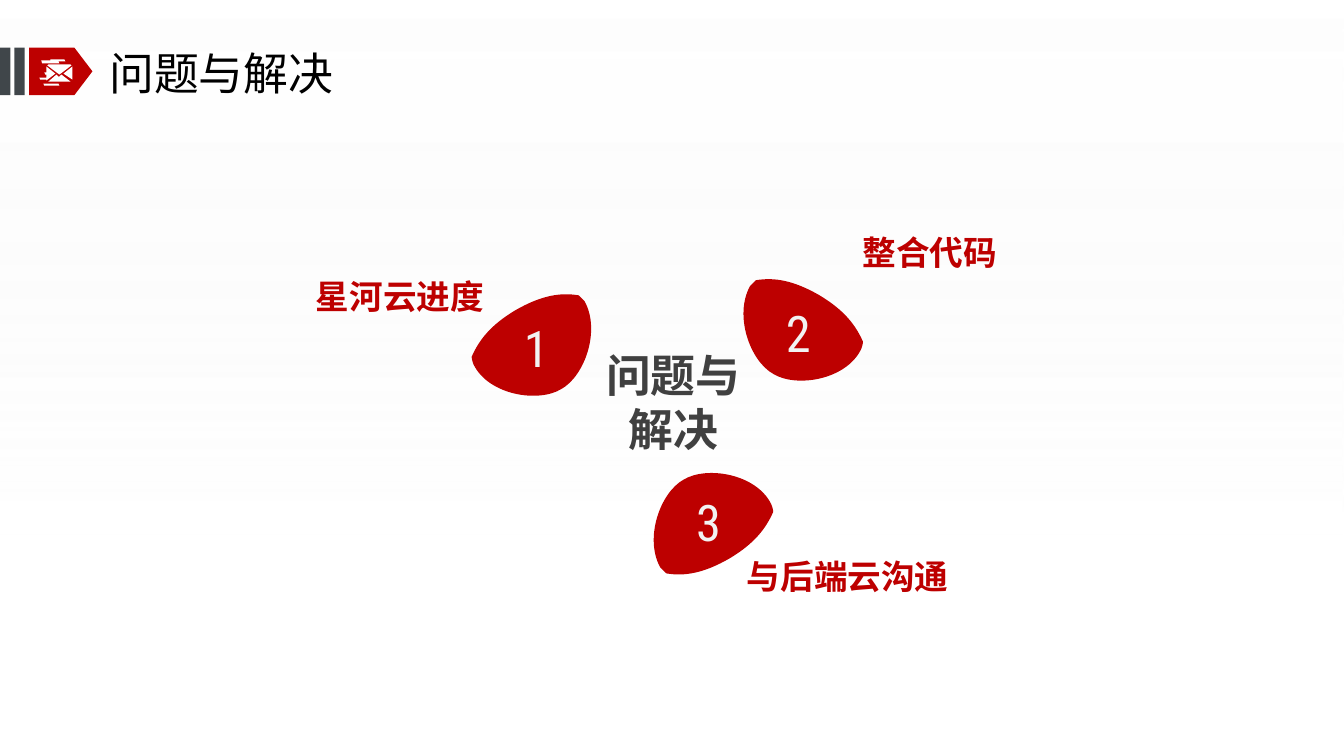
from dataclasses import dataclass

from lxml import etree
from pptx import Presentation
from pptx import util as u
from pptx.dml.color import RGBColor
from pptx.enum import shapes, text
from pptx.oxml.ns import qn


@dataclass(frozen=True)
class Theme:
    red: str = "BD0000"
    slate: str = "40464A"
    ink: str = "000000"
    gray: str = "404040"
    pale: str = "F2F2F2"
    white: str = "FFFFFF"
    cjk: str = "Noto Sans CJK SC"
    latin: str = "Roboto Condensed"
    heading: int = 32
    label: int = 24
    number: int = 36


T = Theme()
WIDTH, HEIGHT = 960, 540
BAND_TOP, BAND_HEIGHT = 34, 34

PETAL = [
    (92.2, 46.1),
    (87.1, 34.6), (79.2, 23.8), (61.2, 13),
    (42.5, 2.2), (28.8, 0), (15.8, 2.2),
    (15.1, 2.9), (13, 5), (11.5, 6.5),
    (0, 27.4), (11.5, 59.8), (28.1, 69.1),
    (44.6, 79.2), (79.9, 73.4), (90.7, 51.8),
    (91.4, 50.4), (92.2, 47.5), (92.2, 46.1),
]
PETAL_CENTER = (46, 39.5)

ENVELOPE = [
    [(33.8, 46.8), (34.6, 46.1), (50.4, 46.1), (51.1, 46.8), (42.5, 53.3)],
    [(31.7, 51.8), (32.4, 53.3), (33.1, 53.3), (33.1, 55.4), (28.1, 55.4),
     (28.8, 56.9), (33.1, 56.9), (33.1, 57.6), (39.6, 52.6), (33.1, 47.5),
     (33.1, 51.8)],
    [(31, 59.8), (41.8, 59.8), (42.5, 61.2), (31.7, 61.2)],
    [(36, 42.5), (46.1, 42.5), (46.8, 43.9), (41.8, 43.9), (42.5, 45.4),
     (30.2, 45.4), (29.5, 43.2), (36, 43.2)],
    [(51.8, 47.5), (45.4, 52.6), (51.8, 56.9)],
    [(50.4, 58.3), (34.6, 58.3), (40.3, 53.3), (41.8, 54.7), (42.5, 54.7),
     (43.9, 53.3)],
]


def paint(sp, color):
    sp.shadow.inherit = False
    sp.line.fill.background()
    sp.fill.solid()
    sp.fill.fore_color.rgb = RGBColor.from_string(color)


def add_block(s, kind, x, y, w, h, color):
    sp = s.shapes.add_shape(kind, u.Pt(x), u.Pt(y), u.Pt(w), u.Pt(h))
    paint(sp, color)
    return sp


def add_backdrop(s):
    sp = add_block(s, shapes.MSO_SHAPE.RECTANGLE, 0, 0, WIDTH, HEIGHT, T.white)
    sp.fill.gradient()
    sp.fill.gradient_angle = 270
    stops = zip(sp.fill.gradient_stops, ((0, T.white), (0.71, T.pale)))
    for stop, (position, color) in stops:
        stop.position = position
        stop.color.rgb = RGBColor.from_string(color)
    colors = sp.element.spPr.iter(qn("a:srgbClr"))
    for color, opacity in zip(colors, (55000, 0)):
        etree.SubElement(color, qn("a:alpha")).set("val", str(opacity))


def add_outline(parent, contours, color):
    contours = [[(u.Pt(x), u.Pt(y)) for x, y in c] for c in contours]
    first, *others = contours
    builder = parent.shapes.build_freeform(*first[0])
    builder.add_line_segments(first[1:], close=True)
    for contour in others:
        builder.move_to(*contour[0])
        builder.add_line_segments(contour[1:], close=True)
    sp = builder.convert_to_shape()
    paint(sp, color)
    return sp


def curve(sp):
    segments = list(sp.element.spPr.iter(qn("a:lnTo")))
    for i in range(0, len(segments), 3):
        bezier = etree.Element(qn("a:cubicBezTo"))
        segments[i].addprevious(bezier)
        for segment in segments[i:i + 3]:
            bezier.append(segment[0])
            segment.getparent().remove(segment)


def add_text(parent, words, x, y, w, h, size, color, font=T.cjk, bold=False,
             align=text.PP_ALIGN.LEFT, wrap=True, leading=None):
    sp = parent.shapes.add_textbox(u.Pt(x), u.Pt(y), u.Pt(w), u.Pt(h))
    tf = sp.text_frame
    tf.margin_left = tf.margin_right = tf.margin_top = tf.margin_bottom = 0
    tf.word_wrap = wrap
    tf.vertical_anchor = text.MSO_ANCHOR.MIDDLE
    p = tf.paragraphs[0]
    p.alignment = align
    if leading:
        p.line_spacing = u.Pt(leading)
    r = p.add_run()
    r.text = words
    r.font.size = u.Pt(size)
    r.font.bold = bold
    r.font.name = font
    r.font.color.rgb = RGBColor.from_string(color)
    etree.SubElement(r.font._element, qn("a:ea")).set("typeface", font)


def add_petal(s, number, x, y, flip_x, flip_y):
    def place(point):
        return x + flip_x * point[0], y + flip_y * point[1]

    group = s.shapes.add_group_shape()
    curve(add_outline(group, [[place(point) for point in PETAL]], T.red))
    cx, cy = place(PETAL_CENTER)
    w, h = 18, 44
    add_text(group, number, cx - w / 2, cy - h / 2, w, h, T.number, T.pale,
             font=T.latin, align=text.PP_ALIGN.CENTER, wrap=False)


def add_header(s):
    kinds = shapes.MSO_SHAPE
    tag = add_block(s, kinds.PENTAGON, 20.8, BAND_TOP, 45.2, BAND_HEIGHT, T.red)
    tag.adjustments[0] = 0.38
    for x in (10.3, 0):
        add_block(s, kinds.RECTANGLE, x, BAND_TOP, 7.4, BAND_HEIGHT, T.slate)
    add_text(s, "问题与解决", 78, 31.7, 396.7, 39.6, T.heading, T.ink)
    add_outline(s, ENVELOPE, T.white)


def main():
    prs = Presentation()
    prs.slide_width, prs.slide_height = u.Pt(WIDTH), u.Pt(HEIGHT)
    s = prs.slides.add_slide(prs.slide_layouts[6])
    add_backdrop(s)
    add_header(s)
    add_text(s, "问题与解决", 428.4, 247.7, 105.1, 77.8, T.heading, T.gray,
             bold=True, align=text.PP_ALIGN.CENTER, leading=38.6)
    for number, x, y, flip_x, flip_y in (
        ("1", 429.1, 208.8, -1, 1),
        ("2", 524.2, 198, 1, 1),
        ("3", 460.1, 411.8, 1, -1),
    ):
        add_petal(s, number, x, y, flip_x, flip_y)
    for words, x, y, w, align in (
        ("星河云进度", 205.9, 197.3, 139.7, text.PP_ALIGN.RIGHT),
        ("整合代码", 616.3, 165.6, 139.7, text.PP_ALIGN.LEFT),
        ("与后端云沟通", 533.5, 397.4, 175.7, text.PP_ALIGN.LEFT),
    ):
        add_text(s, words, x, y, w, 28.8, T.label, T.red, bold=True, align=align)
    prs.save("out.pptx")


if __name__ == "__main__":
    main()
